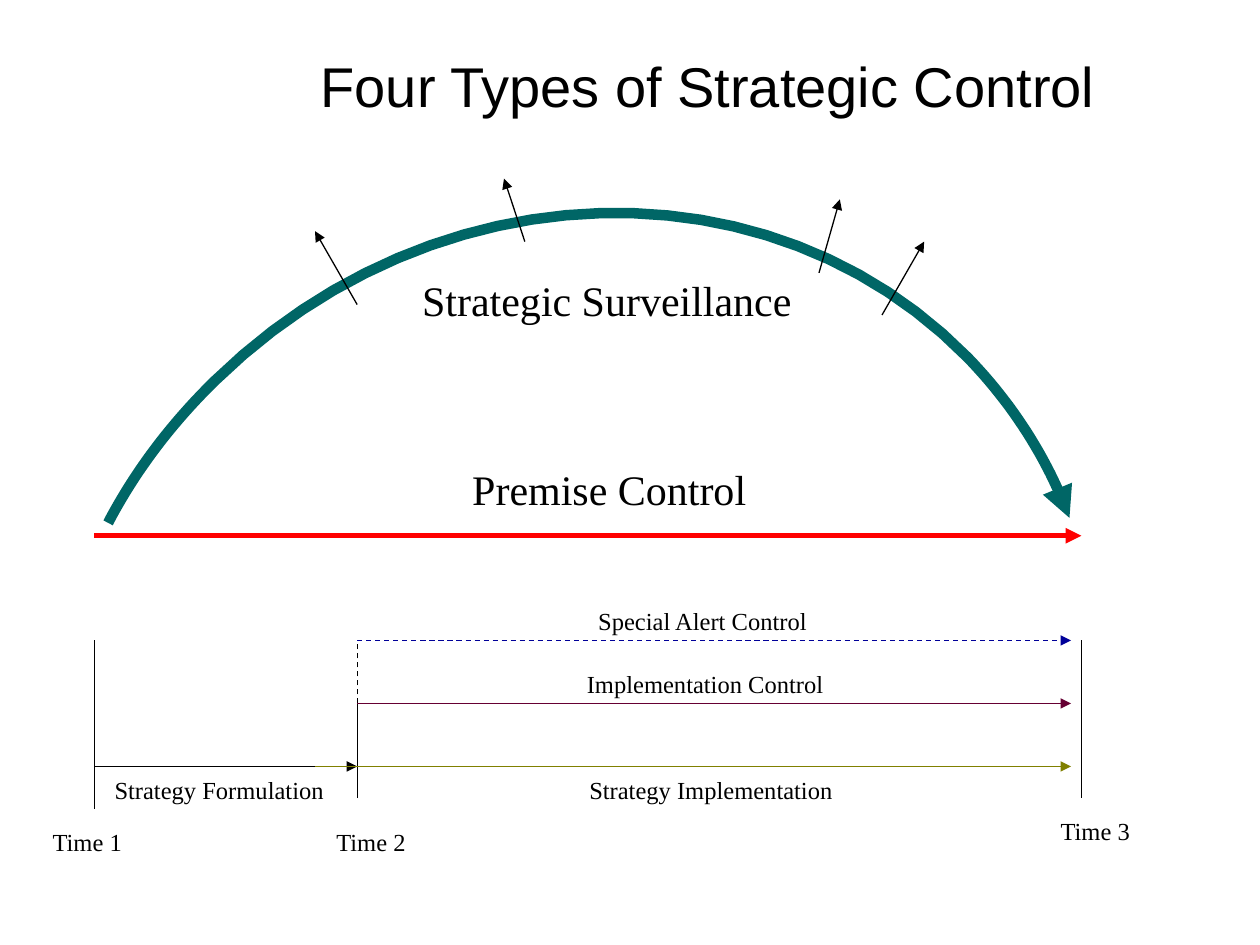
from lxml.etree import SubElement
from pptx import Presentation
from pptx.dml.color import RGBColor
from pptx.enum.dml import MSO_LINE
from pptx.enum.shapes import MSO_CONNECTOR
from pptx.enum.text import MSO_ANCHOR, MSO_AUTO_SIZE, PP_ALIGN
from pptx.oxml.ns import qn
from pptx.util import Cm, Pt

TITLE = "Four Types of Strategic Control"
BLACK = "000000"

# Lengths in centimetres
TIME1, TIME2, END, TIME3 = 1.9, 7.2, 21.59, 21.8
ALERT, IMPL, BASE, PREMISE = 12.91, 14.18, 15.45, 10.8
FOOT = 16.09

# start, end, colour, width, arrow, dashed
LINES = [
    ((TIME1, 16.3), (TIME1, ALERT), BLACK, 0.75, False, False),
    ((TIME1, BASE), (TIME2, BASE), BLACK, 0.75, True, False),
    ((TIME2, FOOT), (TIME2, IMPL), BLACK, 0.75, False, False),
    ((TIME2, IMPL), (END, IMPL), "660033", 0.75, True, False),
    ((TIME2, IMPL), (TIME2, ALERT), BLACK, 0.75, False, True),
    ((TIME2, ALERT), (END, ALERT), "000099", 0.75, True, True),
    ((6.35, BASE), (END, BASE), "808000", 0.75, True, False),
    ((TIME1, PREMISE), (TIME3, PREMISE), "FF0000", 3, True, False),
    ((TIME3, ALERT), (TIME3, FOOT), BLACK, 0.75, False, False),
]
RAYS = [
    ((17.78, 6.35), (18.63, 4.87)),
    ((7.2, 6.14), (6.35, 4.66)),
    ((10.58, 4.87), (10.16, 3.6)),
    ((16.51, 5.5), (16.93, 4.02)),
]
# Joined cubic curves: each one ends where the next begins
ARC = [
    (2.18, 10.54), (2.74, 9.47), (3.48, 8.51),
    (4.34, 7.67), (8.76, 3.35), (15.54, 3.15),
    (19.51, 7.21), (20.4, 8.13), (21.11, 9.22), (21.56, 10.44),
]
# text, left, top, width, height, size
LABELS = [
    ("Strategic Surveillance", 8.26, 5.41, 8.26, 1.27, 24),
    ("Premise Control", 9.27, 9.22, 6.3, 1.27, 24),
    ("Time 1", 0.81, 16.54, 2.1, 0.86, 14),
    ("Strategy Formulation", 2.06, 15.49, 5, 0.86, 14),
    ("Time 2", 6.53, 16.54, 2.1, 0.86, 14),
    ("Time 3", 21.13, 16.33, 2.1, 0.86, 14),
    ("Strategy Implementation", 11.63, 15.49, 5.6, 0.86, 14),
    ("Implementation Control", 11.58, 13.36, 5.5, 0.86, 14),
    ("Special Alert Control", 11.81, 12.09, 5, 0.86, 14),
]


def color(code):
    return RGBColor.from_string(code)


def stroke(shape, code, width, arrow=False, dashed=False):
    line = shape.line
    line.color.rgb = color(code)
    line.width = Pt(width)
    if dashed:
        line.dash_style = MSO_LINE.DASH
    props = shape.element.spPr
    if arrow:
        SubElement(props.find(qn("a:ln")), qn("a:tailEnd"), type="triangle")
    if props.find(qn("a:effectLst")) is None:
        SubElement(props, qn("a:effectLst"))


def add_line(shapes, start, end, *style):
    ends = [Cm(v) for v in (*start, *end)]
    stroke(shapes.add_connector(MSO_CONNECTOR.STRAIGHT, *ends), *style)


def curve(points, steps=24):
    """Return points along the joined cubic curves, as slide lengths."""
    result = [tuple(Cm(v) for v in points[0])]
    for i in range(0, len(points) - 1, 3):
        for n in range(1, steps + 1):
            t = n / steps
            u = 1 - t
            parts = (u**3, 3 * u * u * t, 3 * u * t * t, t**3)
            result.append(tuple(
                Cm(sum(k * p[axis] for k, p in zip(parts, points[i:i + 4])))
                for axis in (0, 1)))
    return result


def add_arc(shapes):
    first, *rest = curve(ARC)
    pen = shapes.build_freeform(*first)
    pen.add_line_segments(rest, close=False)
    arc = pen.convert_to_shape()
    arc.shadow.inherit = False
    arc.fill.background()
    stroke(arc, "006666", 6, True)


def style_text(para, name, size):
    para.font.name = name
    para.font.size = Pt(size)
    para.font.color.rgb = color(BLACK)


def add_label(shapes, text, left, top, width, height, size):
    frame = shapes.add_textbox(Cm(left), Cm(top), Cm(width), Cm(height)).text_frame
    frame.text = text
    frame.word_wrap = True
    frame.auto_size = MSO_AUTO_SIZE.SHAPE_TO_FIT_TEXT
    style_text(frame.paragraphs[0], "Times New Roman", size)


def main():
    deck = Presentation()
    deck.slide_width, deck.slide_height = Cm(25.4), Cm(19.05)
    shapes = deck.slides.add_slide(deck.slide_layouts[5]).shapes

    title = shapes.title
    title.left, title.top = Cm(4.42), Cm(0.76)
    title.width, title.height = Cm(19.71), Cm(1.9)
    title.text_frame.text = TITLE
    title.text_frame.vertical_anchor = MSO_ANCHOR.MIDDLE
    para = title.text_frame.paragraphs[0]
    para.alignment = PP_ALIGN.CENTER
    style_text(para, "Arial", 32)

    for line in LINES:
        add_line(shapes, *line)
    add_arc(shapes)
    for label in LABELS:
        add_label(shapes, *label)
    for start, end in RAYS:
        add_line(shapes, start, end, BLACK, 0.75, True)
    deck.save("out.pptx")


if __name__ == "__main__":
    main()
